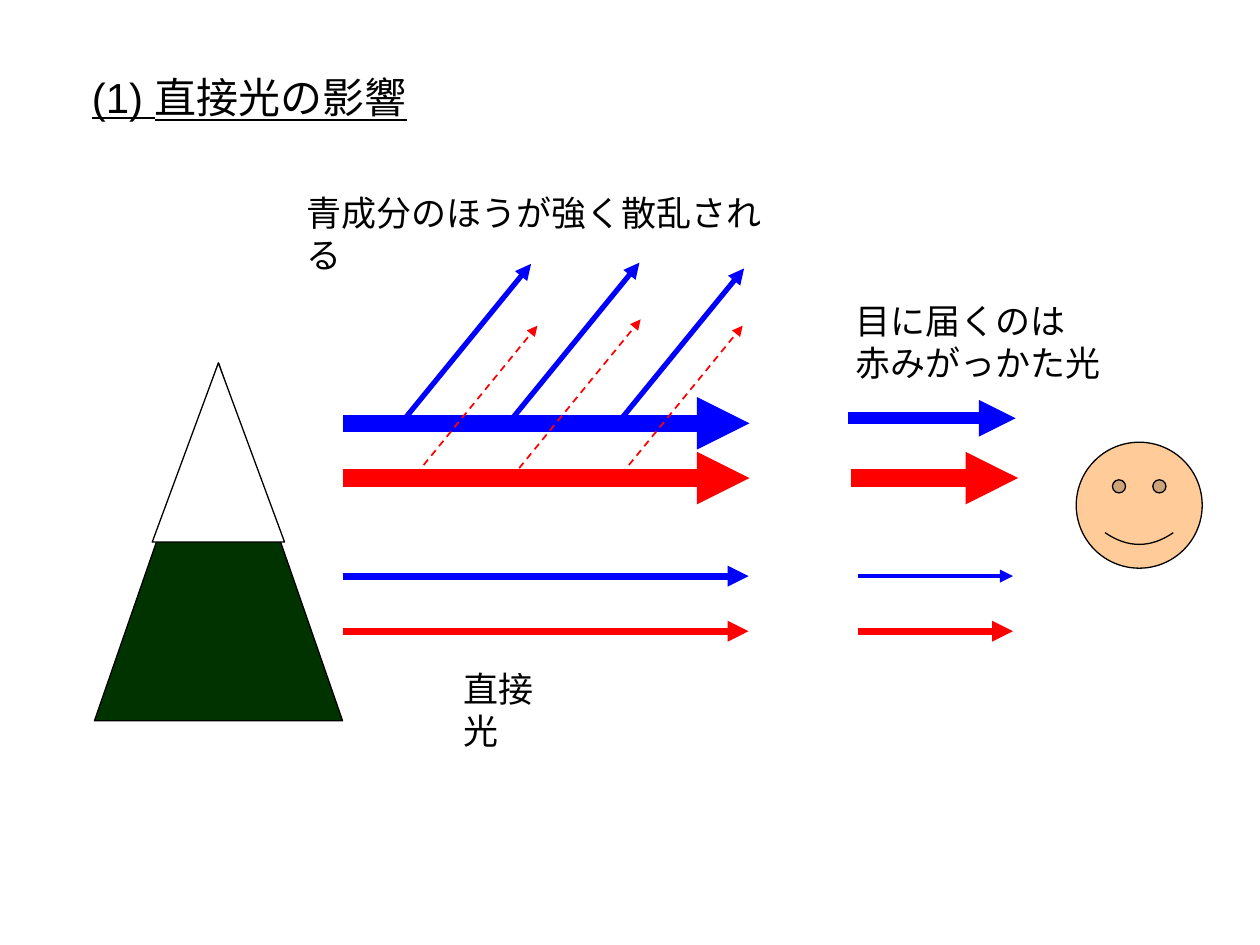
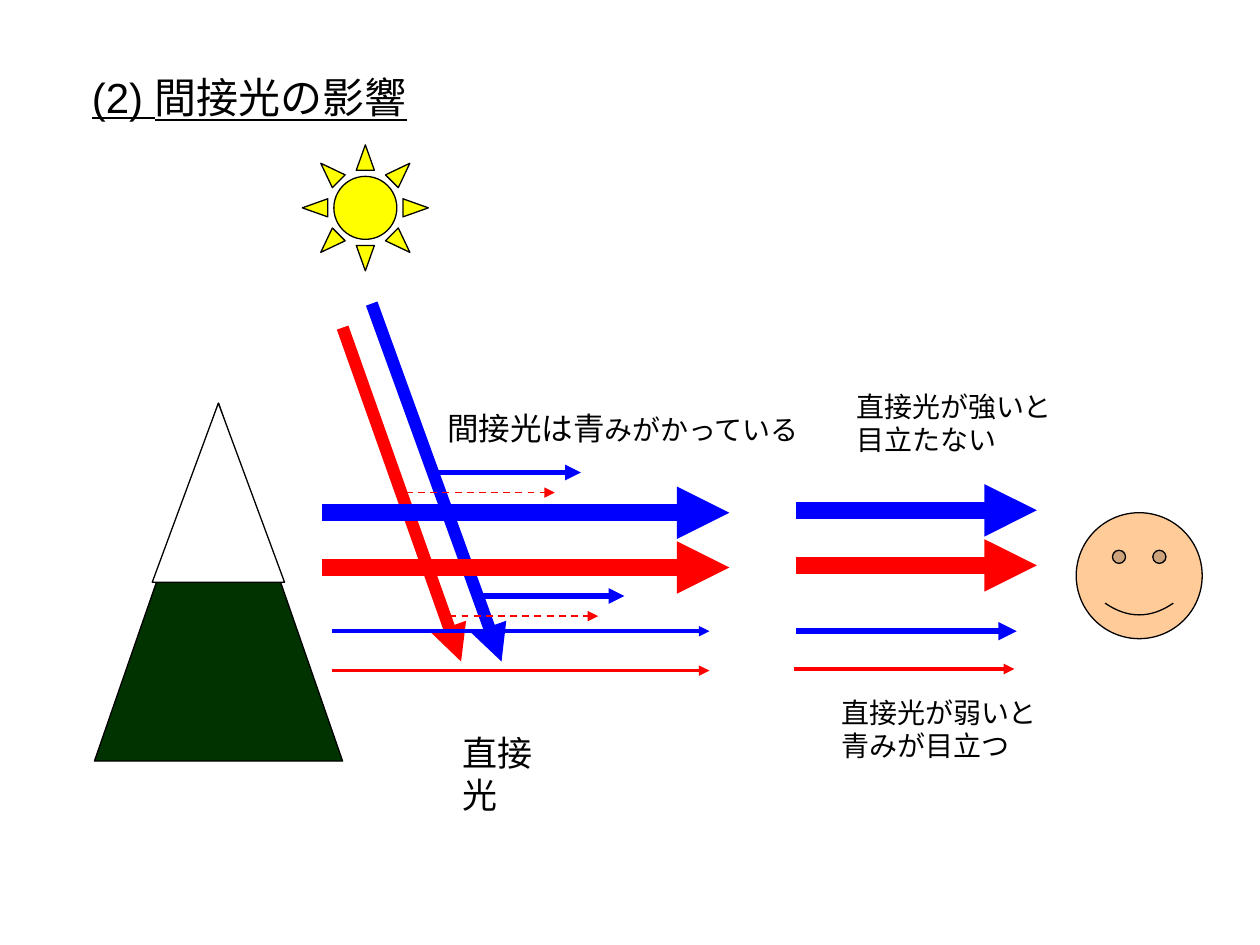
from dataclasses import dataclass
from lxml import etree
from pptx import Presentation
from pptx.dml.color import RGBColor
from pptx.enum.dml import MSO_LINE
from pptx.enum.shapes import MSO_CONNECTOR, MSO_SHAPE as Form
from pptx.enum.text import MSO_AUTO_SIZE as Fit
from pptx.oxml.ns import qn
from pptx.util import Pt


@dataclass(frozen=True)
class Theme:
    font: str = "Arial"
    ink: str = "000000"
    blue: str = "0000FF"
    red: str = "FF0000"
    snow: str = "FFFFFF"
    forest: str = "003300"
    skin: str = "FFCC99"
    sun: str = "FFFF00"
    edge: float = 0.75
    title: int = 24
    label: int = 20
    lead: int = 18
    note: int = 16


class Sketch:
    def __init__(self, theme):
        self.theme = theme
        self.deck = Presentation()
        self.deck.slide_width, self.deck.slide_height = Pt(720), Pt(540)

    def start(self):
        self.slide = self.deck.slides.add_slide(self.deck.slide_layouts[6])

    def shape(self, form, x, y, w, h, fill):
        item = self.slide.shapes.add_shape(form, Pt(x), Pt(y), Pt(w), Pt(h))
        item.shadow.inherit = False
        item.fill.solid()
        item.fill.fore_color.rgb = RGBColor.from_string(fill)
        item.line.color.rgb = RGBColor.from_string(self.theme.ink)
        item.line.width = Pt(self.theme.edge)

    def scene(self, peak, face):
        theme = self.theme
        self.shape(Form.ISOSCELES_TRIANGLE, 54, peak, 141.8, 204.5, theme.forest)
        self.shape(Form.ISOSCELES_TRIANGLE, 87, peak, 75.6, 102.3, theme.snow)
        self.shape(Form.SMILEY_FACE, 615, face, 72, 72, theme.skin)

    def arrow(self, x, y, dx, dy, color, width, dash=False):
        item = self.slide.shapes.add_connector(
            MSO_CONNECTOR.STRAIGHT, Pt(x), Pt(y), Pt(x + dx), Pt(y + dy))
        item.line.color.rgb = RGBColor.from_string(color)
        item.line.width = Pt(width)
        if dash:
            item.line.dash_style = MSO_LINE.DASH
        head = etree.SubElement(item.line._get_or_add_ln(), qn("a:tailEnd"))
        head.set("type", "triangle")
        etree.SubElement(item._element.spPr, qn("a:effectLst"))

    def beams(self, x, y, length, gap, width):
        for row, color in enumerate((self.theme.blue, self.theme.red)):
            self.arrow(x, y + row * gap, length, 0, color, width)

    def stray(self, x, y):
        self.arrow(x, y, 85, 0, self.theme.blue, 3)
        self.arrow(x - 15, y + 11.5, 85, 0, self.theme.red, 1, True)

    def text(self, words, x, y, w, h, size, line=False):
        box = self.slide.shapes.add_textbox(Pt(x), Pt(y), Pt(w), Pt(h))
        frame = box.text_frame
        frame.word_wrap = False
        frame.auto_size = Fit.SHAPE_TO_FIT_TEXT
        frame.text = words
        for para in frame.paragraphs:
            for run in para.runs:
                self.style(run, size, line)
        return frame.paragraphs[-1]

    def style(self, run, size, line=False):
        run.font.name = self.theme.font
        run.font.size = Pt(size)
        run.font.color.rgb = RGBColor.from_string(self.theme.ink)
        if line:
            run.font.underline = True

    def title(self, words):
        self.text(words, 45.4, 37.4, 200, 36, self.theme.title, True)


def direct(art):
    theme = art.theme
    art.start()
    art.scene(207.4, 252.7)
    art.beams(195.8, 241.9, 232.5, 31.3, 10)
    art.arrow(486, 273.2, 95.8, 0, theme.red, 10)
    art.arrow(484.6, 239, 95.8, 0, theme.blue, 7)
    for x, y in ((229.7, 241.2), (291.6, 240.5), (351.4, 243.8)):
        art.arrow(x, y, 73.8, -90.4, theme.blue, 3)
    for x, y in ((233.3, 276.5), (292.3, 272.9), (350.6, 276.5)):
        art.arrow(x, y, 73.8, -90.4, theme.red, 1, True)
    art.beams(195.8, 329.2, 232, 31.5, 4)
    art.arrow(490.3, 329.2, 88.6, 0, theme.blue, 2.5)
    art.arrow(490.3, 360.7, 88.6, 0, theme.red, 4)
    art.text("直接光", 257.8, 378, 74.2, 31.7, theme.label)
    art.text("青成分のほうが強く散乱される", 167.8, 105.8, 294.5, 31.7, theme.label)
    art.text("目に届くのは\v赤みがっかた光", 481.7, 167.8, 154.8, 55.4, theme.label)
    art.title("(1) 直接光の影響")


def ambient(art):
    theme = art.theme
    art.start()
    art.scene(230.4, 293)
    art.shape(Form.SUN, 172.8, 82.8, 72, 72, theme.sun)
    art.arrow(212.4, 173.5, 74.2, 204.5, theme.blue, 7)
    art.arrow(195.8, 187.2, 67.7, 190.8, theme.red, 7)
    art.stray(247, 270)
    art.beams(190, 360.7, 215.4, 22.5, 2)
    art.beams(184.3, 293, 232.5, 31.3, 10)
    art.beams(455, 291.6, 137.5, 31.5, 10)
    art.arrow(455, 360.7, 126, 0, theme.blue, 3.5)
    art.arrow(453.6, 382.3, 126, 0, theme.red, 2)
    art.text("直接光", 257, 414.7, 74.2, 31.7, theme.label)
    para = art.text("間接光は青", 248.4, 230.4, 216, 28.8, theme.lead)
    rest = para.add_run()
    rest.text = "みがかっている"
    art.style(rest, theme.note)
    art.stray(271.8, 340.6)
    art.text("直接光が強いと\v目立たない", 482.4, 218.9, 126, 46, theme.note)
    art.text("直接光が弱いと\n青みが目立つ", 473.8, 393.8, 126, 46, theme.note)
    art.title("(2) 間接光の影響")


def main():
    art = Sketch(Theme())
    direct(art)
    ambient(art)
    art.deck.save("out.pptx")


if __name__ == "__main__":
    main()
